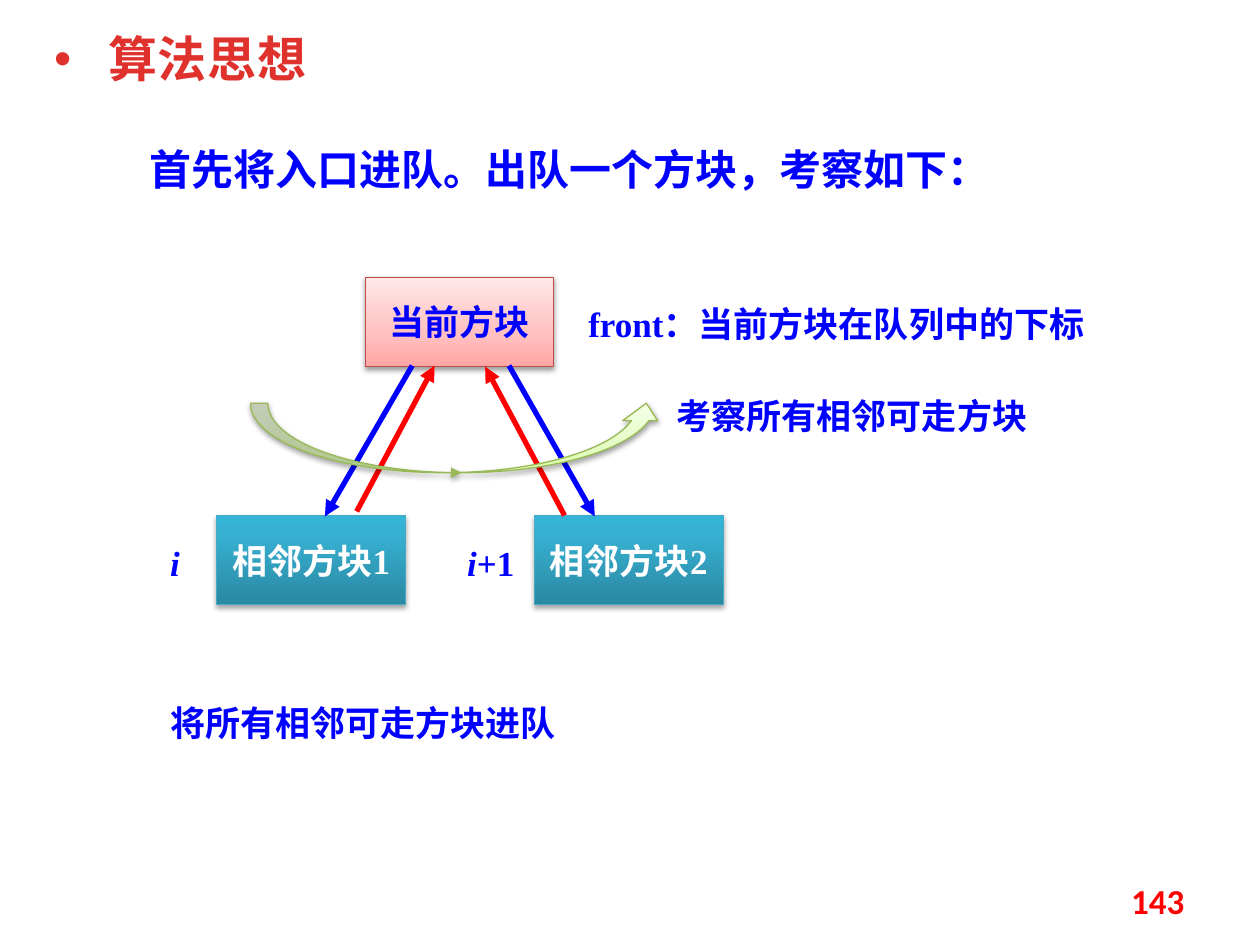
import pptx
import pptx.util
import pptx.dml.color
import pptx.enum.shapes
import pptx.enum.text
import pptx.oxml
import pptx.oxml.ns

Cm, Pt = pptx.util.Cm, pptx.util.Pt
RGBColor = pptx.dml.color.RGBColor
Kind = pptx.enum.shapes.MSO_SHAPE
Side = pptx.enum.text.PP_ALIGN
Mid = pptx.enum.text.MSO_ANCHOR.MIDDLE
Fit = pptx.enum.text.MSO_AUTO_SIZE

BLUE = RGBColor(0x00, 0x00, 0xFF)
RED = RGBColor(0xFF, 0x00, 0x00)
BRICK = RGBColor(0xE0, 0x32, 0x2D)
WHITE = RGBColor(0xFF, 0xFF, 0xFF)
ROSE = RGBColor(0xBF, 0x4C, 0x48)
TEAL = RGBColor(0x46, 0xAA, 0xC5)
GREEN = RGBColor(0x98, 0xB9, 0x55)
PINK_FADE = ((0, RGBColor(0xFF, 0xA6, 0xA5)), (35, RGBColor(0xFF, 0xC0, 0xBF)),
             (100, RGBColor(0xFF, 0xE7, 0xE7)))
TEAL_FADE = ((0, RGBColor(0x2A, 0x88, 0xA2)), (80, RGBColor(0x37, 0xB1, 0xD2)),
             (100, RGBColor(0x34, 0xB4, 0xD6)))
LIME_FADE = ((0, RGBColor(0xDA, 0xFD, 0xA7)), (35, RGBColor(0xE4, 0xFC, 0xC2)),
             (100, RGBColor(0xF5, 0xFF, 0xE7)))


def node(tag, traits="", inner=""):
    """Make one drawing element."""
    space = pptx.oxml.ns.nsdecls("a")
    return pptx.oxml.parse_xml(f"<a:{tag} {space} {traits}>{inner}</a:{tag}>")


class Page:
    """Style and current slide."""

    latin = "Times New Roman"
    asian = "Noto Sans CJK SC"
    size = 20

    def __init__(self, slide):
        """Keep the slide to draw on."""
        self.slide = slide

    def fill_text(self, para, runs, color, size=None, font=None):
        """Add (text, italic) runs to a paragraph."""
        for words, slant in runs:
            run = para.add_run()
            run.text = words
            face = run.font
            face.size = Pt(size or self.size)
            face.name = font or self.latin
            face.bold = True
            face.italic = slant
            face.color.rgb = color
            latin = run._r.get_or_add_rPr().find(pptx.oxml.ns.qn("a:latin"))
            latin.addnext(node("ea", f'typeface="{self.asian}"'))

    def label(self, box, runs, color=BLUE, size=None, font=None):
        """Add a text box and return it."""
        item = self.slide.shapes.add_textbox(*map(Cm, box))
        frame = item.text_frame
        frame.word_wrap = True
        frame.auto_size = Fit.SHAPE_TO_FIT_TEXT
        self.fill_text(frame.paragraphs[0], runs, color, size, font)
        return item

    def shape(self, kind, box, fade, edge, dark=38, drop=1.6):
        """Add a shape with an upward fade and a soft shadow."""
        item = self.slide.shapes.add_shape(kind, *map(Cm, box))
        item.line.color.rgb = edge
        item.line.width = Pt(0.75)
        item.fill.background()
        stops = "".join(f'<a:gs pos="{at * 1000}"><a:srgbClr val="{tone}"/></a:gs>'
                        for at, tone in fade)
        props = item._element.spPr
        blank = props.find(pptx.oxml.ns.qn("a:noFill"))
        props.replace(blank, node(
            "gradFill", inner=f'<a:gsLst>{stops}</a:gsLst>'
            '<a:lin ang="16200000" scaled="0"/>'))
        props.append(node(
            "effectLst", inner=f'<a:outerShdw blurRad="{Pt(3.1)}" '
            f'dist="{Pt(drop)}" dir="5400000" rotWithShape="0">'
            f'<a:srgbClr val="000000"><a:alpha val="{dark * 1000}"/>'
            '</a:srgbClr></a:outerShdw>'))
        return item

    def block(self, box, words, fade, edge, color, **shade):
        """Add a block with centred text."""
        item = self.shape(Kind.RECTANGLE, box, fade, edge, **shade)
        frame = item.text_frame
        frame.word_wrap = False
        frame.vertical_anchor = Mid
        frame.paragraphs[0].alignment = Side.CENTER
        self.fill_text(frame.paragraphs[0], [(words, False)], color)

    def tip(self, item):
        """Put an arrowhead at the end of a line."""
        item.line._get_or_add_ln().append(node("tailEnd", 'type="triangle"'))

    def arrow(self, ends, color):
        """Add a straight arrow."""
        item = self.slide.shapes.add_connector(
            pptx.enum.shapes.MSO_CONNECTOR.STRAIGHT, *map(Cm, ends))
        item.line.color.rgb = color
        item.line.width = Pt(3)
        self.tip(item)
        item._element.spPr.append(node("effectLst"))


def main():
    """Build the slide and save it."""
    deck = pptx.Presentation()
    deck.slide_width, deck.slide_height = Cm(25.4), Cm(19.05)
    page = Page(deck.slides.add_slide(deck.slide_layouts[6]))

    title = page.label((0.84, 0.58, 7.11, 1.35), [("算法思想", False)],
                       BRICK, 28, page.asian)
    para = title.text_frame.paragraphs[0]
    para.line_spacing = 0.9
    para.runs[0]._r.get_or_add_rPr().set("spc", "50")
    props = para._p.get_or_add_pPr()
    props.set("marL", str(Cm(1.09)))
    props.set("indent", str(-Cm(1.09)))
    props.append(node("buFont", 'typeface="Arial"'))
    props.append(node("buChar", 'char="•"'))
    page.label((2.77, 2.77, 17.86, 1.27),
               [("首先将入口进队。出队一个方块，考察如下：", False)], size=24)

    page.block((7.37, 5.59, 3.79, 1.8), "当前方块", PINK_FADE, ROSE, BLUE)
    page.label((11.61, 5.97, 10.72, 1.12),
               [("front：当前方块在队列中的下标", False)])

    near = ((4.37, "相邻方块1", 3.18, 0.79, [("i", True)]),
            (10.77, "相邻方块2", 9.17, 1.6, [("i", True), ("+1", False)]))
    for left, words, start, wide, mark in near:
        page.block((left, 10.39, 3.81, 1.8), words, TEAL_FADE, TEAL, WHITE,
                   dark=35, drop=1.8)
        page.label((start, 10.8, wide, 1.09), mark)

    for ends, color in (((8.31, 7.37, 6.55, 10.41), BLUE),
                        ((10.26, 7.37, 11.99, 10.41), BLUE),
                        ((7.19, 10.31, 8.76, 7.37), RED),
                        ((11.38, 10.39, 9.78, 7.39), RED)):
        page.arrow(ends, color)

    sweep = page.shape(Kind.CURVED_UP_ARROW, (5.05, 8.13, 8.33, 1.4),
                       LIME_FADE, GREEN)
    page.tip(sweep)
    page.label((13.39, 7.82, 7.95, 1.12), [("考察所有相邻可走方块", False)])
    page.label((3.18, 14.02, 10.72, 1.12), [("将所有相邻可走方块进队", False)])

    count = page.label((18.21, 17.65, 5.92, 1.02), [("143", False)], RED,
                       font="Calibri")
    count.text_frame.auto_size = Fit.NONE
    count.text_frame.vertical_anchor = Mid
    count.text_frame.paragraphs[0].alignment = Side.RIGHT

    deck.save("out.pptx")


main()
